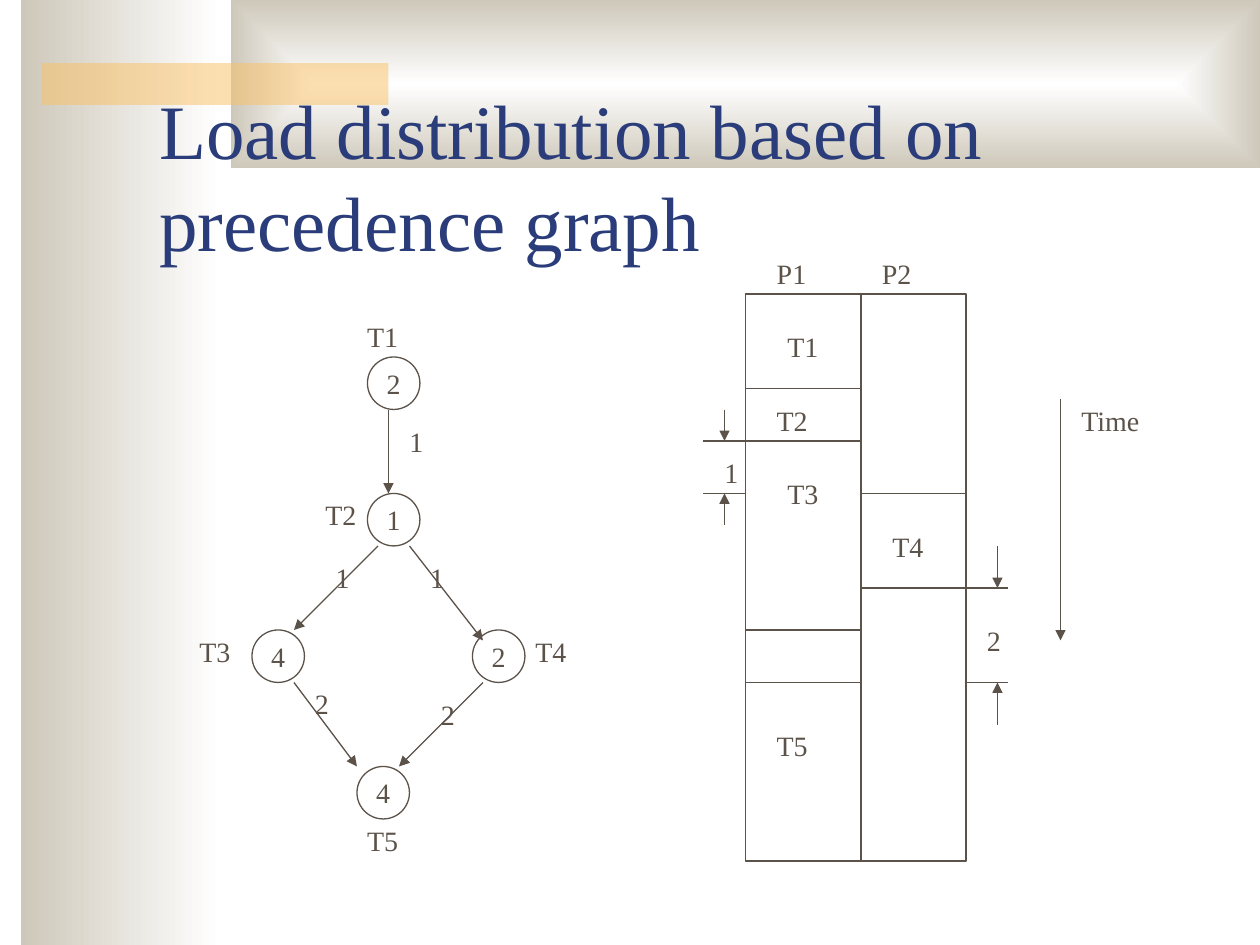
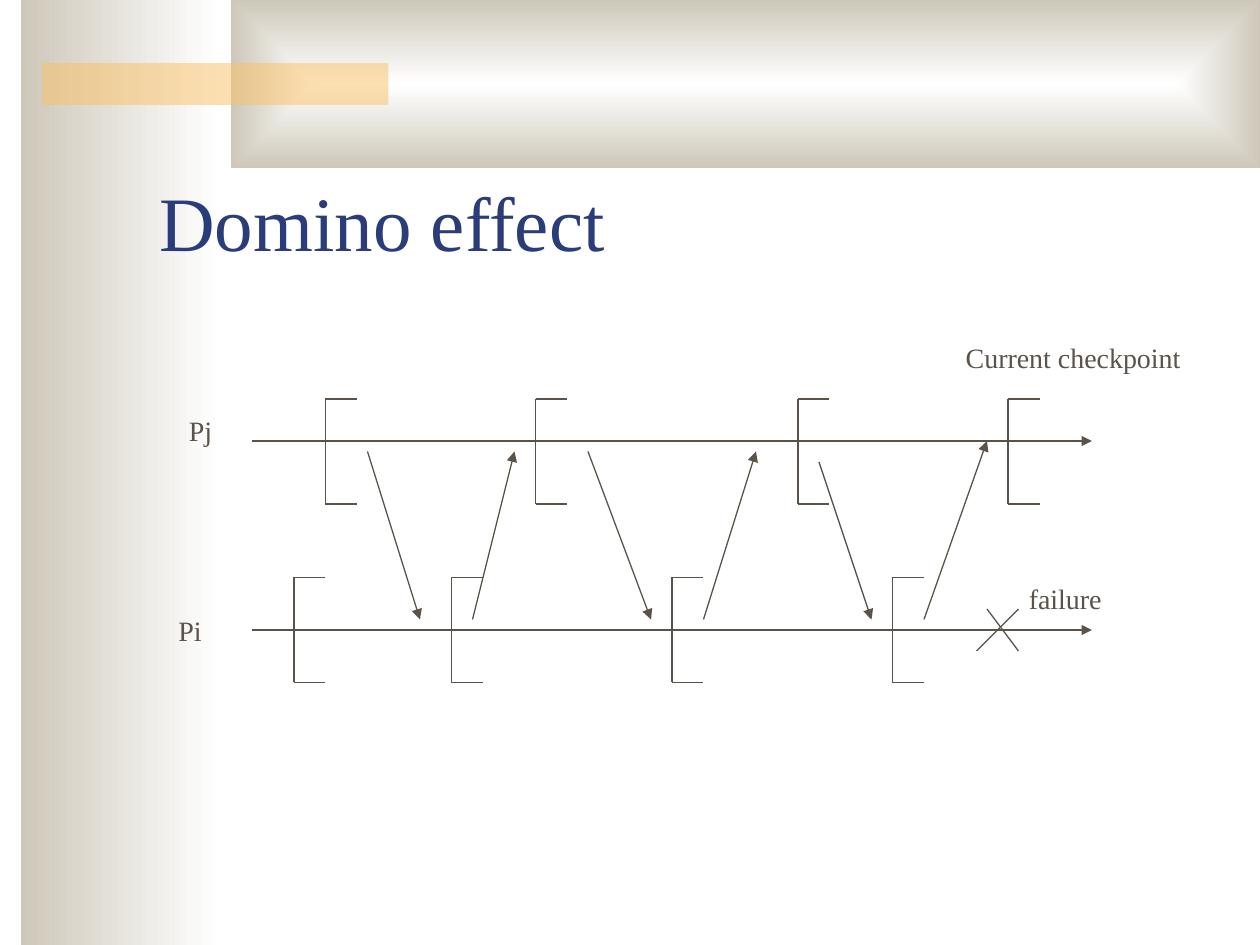
from itertools import pairwise

from lxml import etree
from pptx import Presentation
from pptx.dml.color import RGBColor
from pptx.enum.shapes import MSO_CONNECTOR, MSO_SHAPE
from pptx.enum.text import MSO_ANCHOR, MSO_AUTO_SIZE, PP_ALIGN
from pptx.oxml.ns import qn
from pptx.util import Emu, Pt

PX = 7620  # 120 px to the inch
WIDTH, HEIGHT = 1200, 900
FONT = "Times New Roman"
COLORS = {"paper": "FFFFFF", "stone": "CEC8BA", "amber": "FAC164",
          "title": "2A3D7A", "ink": "5B5249"}
LINE_WIDTH = Pt(0.75)
LABEL_HEIGHT = 44
INSET = 12
NODE_SIZE = 50

RECT = MSO_SHAPE.RECTANGLE
NODE = MSO_SHAPE.FLOWCHART_CONNECTOR
STRAIGHT = MSO_CONNECTOR.STRAIGHT
LEFT, CENTER = PP_ALIGN.LEFT, PP_ALIGN.CENTER
MIDDLE, BOTTOM = MSO_ANCHOR.MIDDLE, MSO_ANCHOR.BOTTOM
NO_FIT, GROW = MSO_AUTO_SIZE.NONE, MSO_AUTO_SIZE.SHAPE_TO_FIT_TEXT


def rgb(name):
    return RGBColor.from_string(COLORS[name])


def emu(*lengths):
    return [Emu(n * PX) for n in lengths]


def write(shape, text, size=16, color="ink", align=LEFT, anchor=None,
          wrap=False, fit=NO_FIT):
    tf = shape.text_frame
    tf.word_wrap = wrap
    tf.auto_size = fit
    if anchor is not None:
        tf.vertical_anchor = anchor
    p = tf.paragraphs[0]
    p.alignment = align
    r = p.add_run()
    r.text = text
    r.font.name, r.font.size, r.font.color.rgb = FONT, Pt(size), rgb(color)


def label(s, origin, text, x, y, w=None):
    """Text starting at x and centred vertically on y, relative to origin."""
    w = w or (38 if len(text) == 1 else 55)
    left, top = origin[0] + x - INSET, origin[1] + y - LABEL_HEIGHT // 2
    write(s.shapes.add_textbox(*emu(left, top, w, LABEL_HEIGHT)), text, fit=GROW)


def add_block(s, kind, x, y, w, h, fill="paper", outlined=False):
    sp = s.shapes.add_shape(kind, *emu(x, y, w, h))
    sp.shadow.inherit = False
    sp.fill.solid()
    sp.fill.fore_color.rgb = rgb(fill)
    if outlined:
        sp.line.color.rgb = rgb("ink")
        sp.line.width = LINE_WIDTH
    else:
        sp.line.fill.background()
    return sp


def line(s, origin, x1, y1, x2, y2, arrow=False):
    ox, oy = origin
    c = s.shapes.add_connector(STRAIGHT, *emu(ox + x1, oy + y1, ox + x2, oy + y2))
    c.line.color.rgb = rgb("ink")
    c.line.width = LINE_WIDTH
    props = c._element.spPr
    if arrow:
        etree.SubElement(props.find(qn("a:ln")), qn("a:tailEnd"), type="triangle")
    etree.SubElement(props, qn("a:effectLst"))


def set_gradient(sp, from_center=False):
    """Fade white into stone, leftwards or outwards from the centre."""
    sp.fill.gradient()
    for stop, color, position in zip(sp.fill.gradient_stops, ("paper", "stone"), (0, 1)):
        stop.color.rgb = rgb(color)
        stop.position = position
    sp.fill.gradient_angle = 180
    if from_center:
        grad = sp._element.spPr.find(qn("a:gradFill"))
        grad.remove(grad.find(qn("a:lin")))
        route = etree.Element(qn("a:path"), path="rect")
        etree.SubElement(route, qn("a:fillToRect"),
                         {side: "50000" for side in "ltrb"})
        grad.find(qn("a:gsLst")).addnext(route)


def add_titled_slide(prs, title):
    s = prs.slides.add_slide(prs.slide_layouts[6])
    set_gradient(add_block(s, RECT, 20, 0, 190, HEIGHT))
    set_gradient(add_block(s, RECT, 220, 0, WIDTH - 220, 160), from_center=True)
    bar = add_block(s, RECT, 40, 60, 330, 40, "amber")
    color = bar._element.spPr.find(qn("a:solidFill"))[0]
    etree.SubElement(color, qn("a:alpha"), val="50000")
    write(s.shapes.add_textbox(*emu(140, 110, 1020, 150)), title,
          size=44, color="title", anchor=BOTTOM, wrap=True)
    return s


def draw_precedence_graph(s, origin):
    # task, cost, node corner, task label
    tasks = [("T1", "2", (180, 50), (180, 30)),
             ("T2", "1", (180, 180), (140, 200)),
             ("T3", "4", (70, 310), (20, 330)),
             ("T5", "4", (170, 440), (180, 510)),
             ("T4", "2", (280, 310), (340, 330))]
    # arrow ends, transfer cost, cost label
    edges = [((200, 100, 200, 180), "1", (220, 130)),
             ((190, 230, 110, 310), "1", (150, 260)),
             ((220, 230, 290, 320), "1", (240, 260)),
             ((110, 360, 170, 440), "2", (130, 380)),
             ((290, 360, 210, 440), "2", (250, 390))]
    ox, oy = origin
    for task, cost, (x, y), place in tasks:
        node = add_block(s, NODE, ox + x, oy + y, NODE_SIZE, NODE_SIZE, outlined=True)
        write(node, cost, align=CENTER, anchor=MIDDLE)
        label(s, origin, task, *place)
    for ends, cost, place in edges:
        line(s, origin, *ends, arrow=True)
        label(s, origin, cost, *place)


def draw_delay(s, origin, edge, out, start, end, arrow_x, lead, cost, place):
    """Two ticks outwards from edge, with arrows closing in on the gap."""
    for y, tail in zip((start, end), lead):
        line(s, origin, edge, y, out, y)
        line(s, origin, arrow_x, tail, arrow_x, y, arrow=True)
    label(s, origin, cost, *place)


def draw_schedule(s, x, y, w, h):
    origin = x, y
    split = 110
    add_block(s, RECT, x, y, w, h, outlined=True)
    line(s, origin, split, 0, split, h)
    for left, right, cuts in ((0, split, (90, 140, 320, 370)), (split, w, (190, 280))):
        for cut in cuts:
            line(s, origin, left, cut, right, cut)
    for text, *place in (("P1", 30, -20), ("P2", 130, -20), ("T1", 40, 50),
                         ("T2", 30, 120), ("T3", 40, 190), ("T4", 140, 240),
                         ("T5", 30, 430)):
        label(s, origin, text, *place)
    draw_delay(s, origin, 0, -40, 140, 190, -20, (110, 220), "1", (-20, 170))
    draw_delay(s, origin, w, w + 40, 280, 370, w + 30, (240, 410), "2", (w + 20, 330))
    line(s, origin, w + 90, 100, w + 90, 330, arrow=True)
    label(s, origin, "Time", w + 110, 120, w=82)


def draw_checkpoint(s, origin, x, y, w=30, h=100):
    for start, end in pairwise([(x + w, y), (x, y), (x, y + h), (x + w, y + h)]):
        line(s, origin, *start, *end)


def draw_domino_timelines(s, origin, length):
    # process, timeline y, label, checkpoint top, checkpoint xs
    processes = [("Pj", 40, (-60, 30), 0, (70, 270, 520, 720)),
                 ("Pi", 220, (-70, 220), 170, (40, 190, 400, 610))]
    messages = [(110, 50, 160, 210), (210, 210, 250, 50), (320, 50, 380, 210),
                (430, 210, 480, 50), (540, 60, 590, 210), (640, 210, 700, 40)]
    failure_cross = [(730, 200, 690, 240), (700, 200, 730, 240)]
    for process, y, place, top, checkpoints in processes:
        line(s, origin, 0, y, length, y, arrow=True)
        label(s, origin, process, *place, w=47)
        for x in checkpoints:
            draw_checkpoint(s, origin, x, top)
    for message in messages:
        line(s, origin, *message, arrow=True)
    for stroke in failure_cross:
        line(s, origin, *stroke)
    label(s, origin, "failure", 740, 190, w=95)
    label(s, origin, "Current checkpoint", 680, -40, w=231)


def main():
    prs = Presentation()
    prs.slide_width, prs.slide_height = emu(WIDTH, HEIGHT)

    s = add_titled_slide(prs, "Load distribution based on precedence graph")
    draw_precedence_graph(s, (170, 290))
    draw_schedule(s, 710, 280, 210, 540)

    s = add_titled_slide(prs, "Domino effect")
    draw_domino_timelines(s, (240, 380), 800)

    prs.save("out.pptx")


if __name__ == "__main__":
    main()
